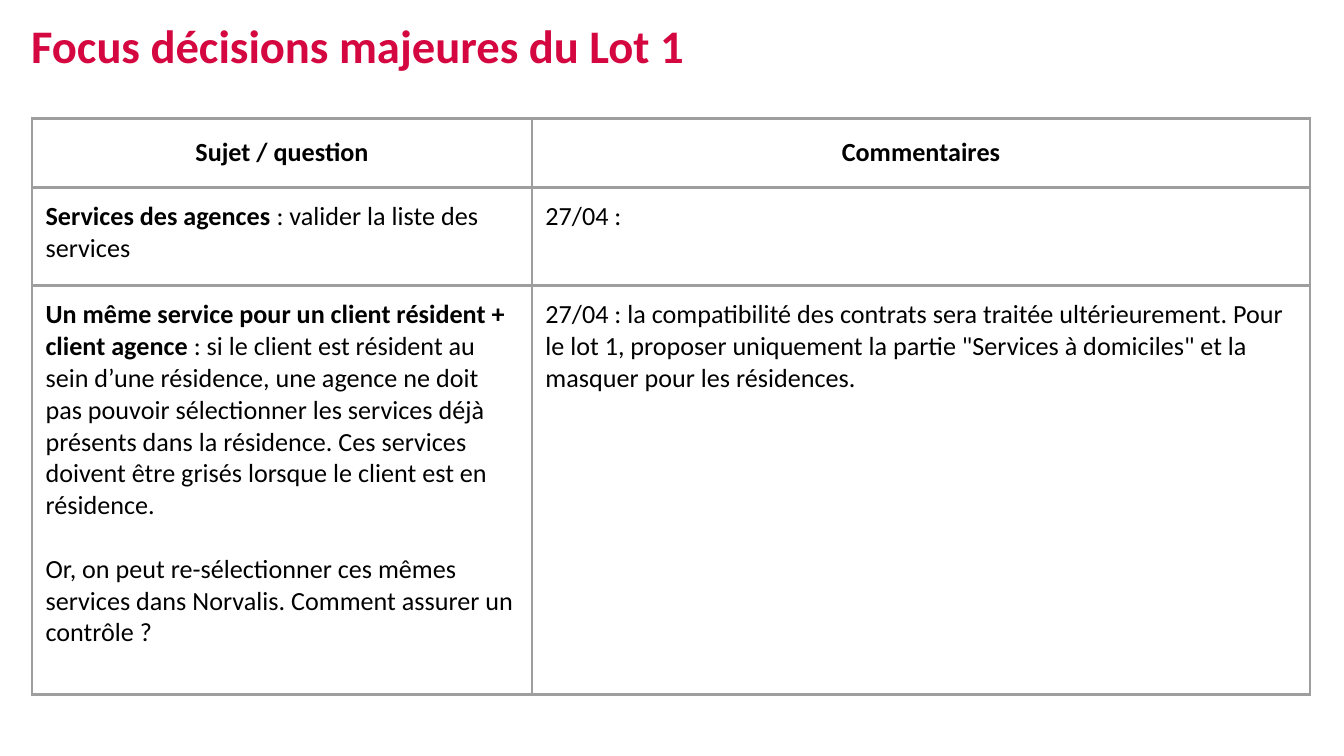
"""Build the slide listing the major decisions of Lot 1."""
from lxml import etree
from pptx import Presentation
from pptx.dml.color import RGBColor
from pptx.enum import text
from pptx.oxml import ns
from pptx.util import Pt

THEME = {
    "font": "Calibri", "title_size": 25, "body_size": 14,
    "title": "D40740", "ink": "000000", "paper": "FFFFFF",
    "border": "9E9E9E", "border_width": 1.5,
}
TITLE = "Focus décisions majeures du Lot 1"
HEADERS = ["Sujet / question", "Commentaires"]
ROWS = [
    [
        [[("Services des agences", True), (" : valider la liste des services", False)]],
        [[("27/04 :", False)]],
    ],
    [
        [
            [
                ("Un même service pour un client résident + client agence", True),
                (" : si le client est résident au sein d’une résidence, une agence ne doit "
                 "pas pouvoir sélectionner les services déjà présents dans la résidence. "
                 "Ces services doivent être grisés lorsque le client est en résidence.", False),
            ],
            [("Or, on peut re-sélectionner ces mêmes services dans Norvalis. "
              "Comment assurer un contrôle ?", False)],
        ],
        [[("27/04 : la compatibilité des contrats sera traitée ultérieurement. Pour le lot 1, "
           "proposer uniquement la partie \"Services à domiciles\" et la masquer pour les "
           "résidences.", False)]],
    ],
]
SLIDE_SIZE = (720, 405)
TITLE_BOX = (9.5, 0.7, 659, 50.4)
TABLE_ORIGIN = (17.2, 63.4)
COLUMN_WIDTHS = [267.8, 416.9]
ROW_HEIGHTS = [37, 52.6, 219]
CELL_MARGIN = 7.2
PARAGRAPH_GAP = 17.1


def write(frame, paragraphs, size=THEME["body_size"], color=THEME["ink"],
          align=text.PP_ALIGN.LEFT, gap=0, line_spacing=1.0):
    """Fill a text frame with paragraphs made of (wording, bold) spans."""
    for index, spans in enumerate(paragraphs):
        para = frame.add_paragraph() if index else frame.paragraphs[0]
        para.alignment = align
        para.line_spacing = line_spacing
        para.space_before = Pt(gap if index else 0)
        for wording, bold in spans:
            span = para.add_run()
            span.text = wording
            span.font.name = THEME["font"]
            span.font.size = Pt(size)
            span.font.bold = bold
            span.font.color.rgb = RGBColor.from_string(color)


def style_cell(cell, anchor):
    """Set the margins, anchor, fill and four borders of a table cell."""
    cell.margin_left = cell.margin_right = Pt(CELL_MARGIN)
    cell.margin_top = cell.margin_bottom = Pt(CELL_MARGIN)
    cell.vertical_anchor = anchor
    cell.fill.solid()
    cell.fill.fore_color.rgb = RGBColor.from_string(THEME["paper"])
    properties = cell._tc.get_or_add_tcPr()
    for index, side in enumerate(["lnL", "lnR", "lnT", "lnB"]):
        line = etree.Element(ns.qn(f"a:{side}"), w=str(Pt(THEME["border_width"])))
        fill = etree.SubElement(line, ns.qn("a:solidFill"))
        etree.SubElement(fill, ns.qn("a:srgbClr"), val=THEME["border"])
        properties.insert(index, line)


def add_title(page):
    """Place and write the title placeholder."""
    title = page.shapes.title
    title.left, title.top, title.width, title.height = map(Pt, TITLE_BOX)
    frame = title.text_frame
    frame.word_wrap = True
    frame.auto_size = text.MSO_AUTO_SIZE.NONE
    frame.vertical_anchor = text.MSO_ANCHOR.MIDDLE
    write(frame, [[(TITLE, True)]], size=THEME["title_size"],
          color=THEME["title"], line_spacing=0.9)


def add_decisions(page):
    """Add the table of questions and comments."""
    left, top = TABLE_ORIGIN
    table = page.shapes.add_table(
        len(ROW_HEIGHTS), len(COLUMN_WIDTHS), Pt(left), Pt(top),
        Pt(sum(COLUMN_WIDTHS)), Pt(sum(ROW_HEIGHTS))).table
    table.first_row = table.horz_banding = False
    for column, width in zip(table.columns, COLUMN_WIDTHS):
        column.width = Pt(width)
    for row, height in zip(table.rows, ROW_HEIGHTS):
        row.height = Pt(height)
    for column, header in enumerate(HEADERS):
        cell = table.cell(0, column)
        style_cell(cell, text.MSO_ANCHOR.MIDDLE)
        write(cell.text_frame, [[(header, True)]], align=text.PP_ALIGN.CENTER)
    for number, contents in enumerate(ROWS, start=1):
        for column, paragraphs in enumerate(contents):
            cell = table.cell(number, column)
            style_cell(cell, text.MSO_ANCHOR.TOP)
            write(cell.text_frame, paragraphs, gap=PARAGRAPH_GAP)


def main():
    """Build and save the deck."""
    deck = Presentation()
    deck.slide_width, deck.slide_height = map(Pt, SLIDE_SIZE)
    page = deck.slides.add_slide(deck.slide_layouts.get_by_name("Title Only"))
    add_title(page)
    add_decisions(page)
    deck.save("out.pptx")


if __name__ == "__main__":
    main()
